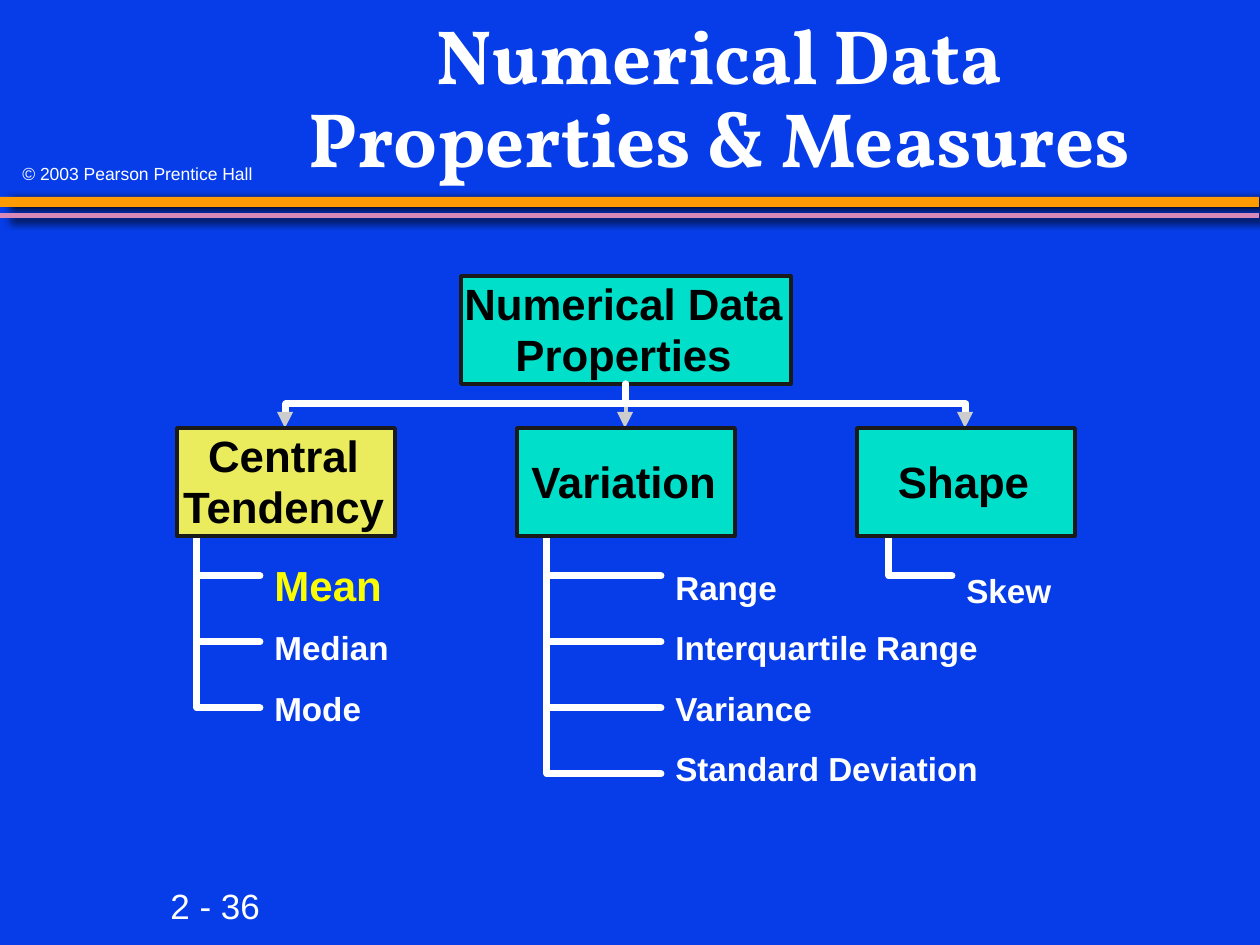
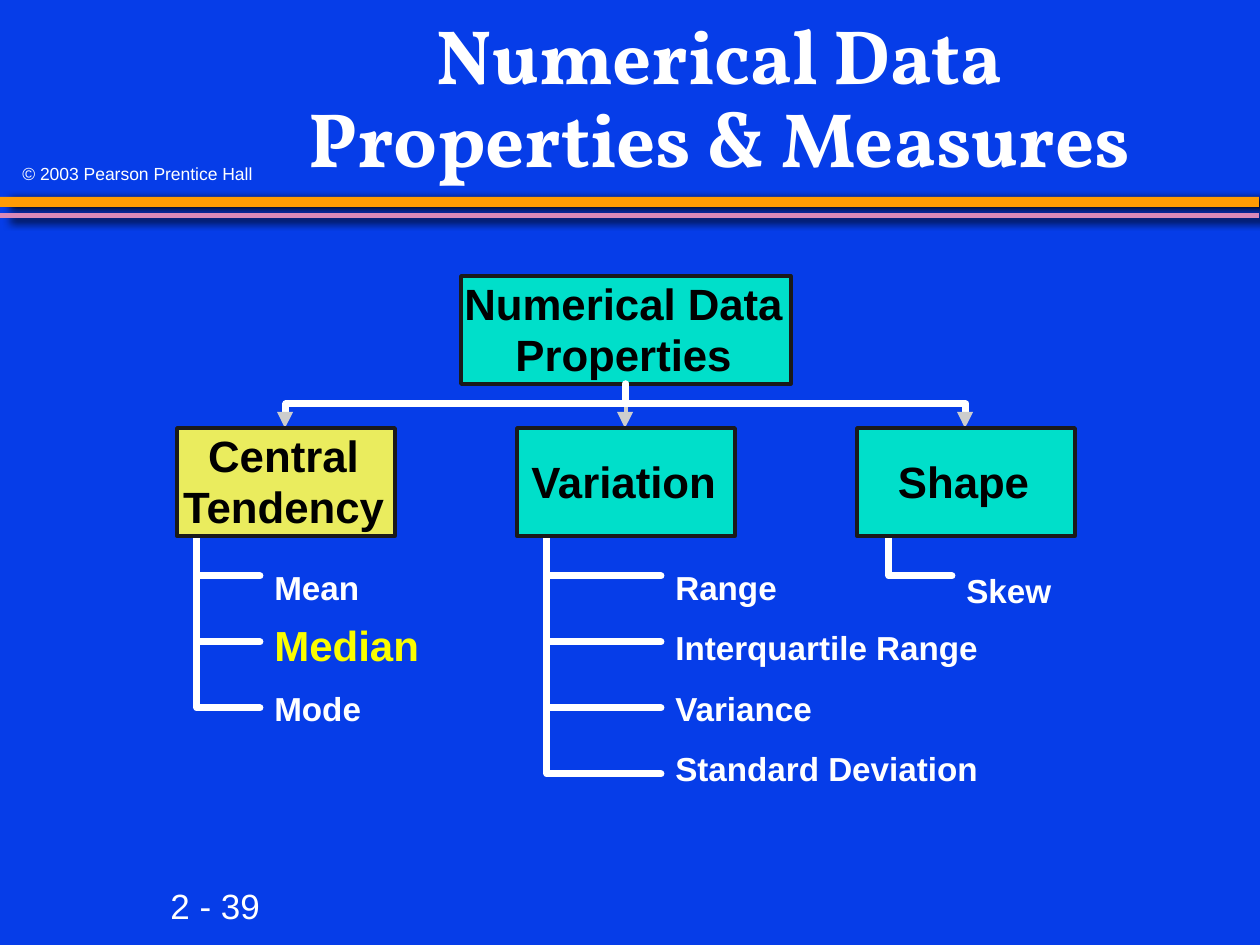
from dataclasses import dataclass

from lxml.etree import SubElement
from pptx import Presentation
from pptx.dml.color import RGBColor as RGB
from pptx.enum.shapes import MSO_CONNECTOR as CONNECTOR, MSO_SHAPE as SHAPE
from pptx.enum.text import MSO_ANCHOR as ANCHOR, PP_ALIGN as ALIGN
from pptx.oxml.ns import qn
from pptx.util import Emu, Pt


@dataclass(frozen=True)
class Theme:
    blue: str = "063DE8"
    orange: str = "FE9B03"
    pink: str = "D989B8"
    teal: str = "00DFCA"
    yellow: str = "EAEC5E"
    accent: str = "FAFD00"
    white: str = "FFFFFF"
    black: str = "000000"
    outline: str = "1A1A1A"
    grey: str = "CDCDCD"


T = Theme()
TYPE = {
    "title": {"name": "Vollkorn", "size": Pt(44), "bold": True},
    "node": {"name": "Arial", "size": Pt(25), "bold": True},
    "label": {"name": "Arial", "size": Pt(19), "bold": True},
    "focus": {"name": "Arial", "size": Pt(24), "bold": True},
    "page": {"name": "Arial", "size": Pt(20)},
    "rights": {"name": "Arial", "size": Pt(10)},
}
SLIDE_W, SLIDE_H = 1260, 945
ROW_GAP = 66

# name, colour, trunk offset, arm length, label drop, measures
BRANCHES = [
    ("Central\nTendency", T.yellow, 20, 63, 133, ["Mean", "Median", "Mode"]),
    ("Variation", T.teal, 30, 114, 133,
     ["Range", "Interquartile Range", "Variance", "Standard Deviation"]),
    ("Shape", T.teal, 32, 63, 136, ["Skew"]),
]


def px(n):
    return Emu(round(n * 914400 / 126))


def style_text(p, style, color):
    for r in p.runs:
        for key, value in TYPE[style].items():
            setattr(r.font, key, value)
        r.font.color.rgb = RGB.from_string(color)


def add_text(s, box, text, style, color=T.white):
    tf = s.shapes.add_textbox(*map(px, box)).text_frame
    tf.word_wrap = True
    p = tf.paragraphs[0]
    p.text = text
    style_text(p, style, color)
    return tf


def add_block(s, kind, box, fill, line=None):
    sp = s.shapes.add_shape(kind, *map(px, box))
    sp.shadow.inherit = False
    sp.fill.solid()
    sp.fill.fore_color.rgb = RGB.from_string(fill)
    if line:
        sp.line.color.rgb = RGB.from_string(line)
        sp.line.width = Pt(2)
    else:
        sp.line.fill.background()
    return sp


def add_path(s, start, *points):
    fb = s.shapes.build_freeform(*map(px, start))
    fb.add_line_segments([tuple(map(px, pt)) for pt in points], close=False)
    sp = fb.convert_to_shape()
    sp.shadow.inherit = False
    sp.fill.background()
    sp.line.color.rgb = RGB.from_string(T.white)
    sp.line.width = Pt(4)
    ln = sp.line._get_or_add_ln()
    ln.set("cap", "rnd")
    SubElement(ln, qn("a:round"))


def add_band(s, y, h, fill, distance, degrees):
    sp = add_block(s, SHAPE.RECTANGLE, (0, y, SLIDE_W - 1, h), fill)
    effects = sp._element.spPr.find(qn("a:effectLst"))
    shadow = SubElement(effects, qn("a:outerShdw"), blurRad=str(Pt(5)),
                        dist=str(Pt(distance)), dir=str(degrees * 60000),
                        algn="ctr", rotWithShape="0")
    SubElement(shadow, qn("a:srgbClr"), val=T.black)


def add_node(s, box, text, fill):
    sp = add_block(s, SHAPE.RECTANGLE, box, fill, T.outline)
    tf = sp.text_frame
    frame = {"margin_left": 0, "margin_right": px(5), "margin_top": 0,
             "margin_bottom": px(2), "word_wrap": False,
             "vertical_anchor": ANCHOR.MIDDLE}
    for key, value in frame.items():
        setattr(tf, key, value)
    tf.text = text
    for p in tf.paragraphs:
        p.alignment = ALIGN.CENTER
        p.line_spacing = Pt(29.5)
        style_text(p, "node", T.black)
    return sp


def add_frame(s, page):
    """Background, bands, footer texts and title."""
    s.background.fill.solid()
    s.background.fill.fore_color.rgb = RGB.from_string(T.blue)
    add_band(s, 197, 10, T.orange, 6.1, 9)
    add_band(s, 213, 5, T.pink, 6.3, 18)
    add_text(s, (158, 878, 120, 55), page, "page")
    add_text(s, (10, 157, 275, 33), "© 2003 Pearson Prentice Hall", "rights")
    tf = add_text(s, (231, 24, 977, 154),
                  "Numerical Data\vProperties & Measures", "title")
    tf.vertical_anchor = ANCHOR.MIDDLE
    tf.paragraphs[0].alignment = ALIGN.CENTER
    tf.paragraphs[0].line_spacing = 0.9


def add_arrows(s, root, centre, y, child_centres):
    """Stem from the root, with one elbow and arrowhead per child."""
    stem = s.shapes.add_connector(CONNECTOR.STRAIGHT,
                                  *map(px, (centre, y, centre, y + 28)))
    stem.begin_connect(root, 2)
    stem.line.color.rgb = RGB.from_string(T.grey)
    stem.line.width = Pt(2)
    SubElement(stem._element.spPr, qn("a:effectLst"))
    for x in child_centres:
        if x != centre:
            add_path(s, (centre, y), (centre, y + 20), (x, y + 20), (x, y + 28))
        add_block(s, SHAPE.FLOWCHART_MERGE, (x - 9, y + 28, 16, 16), T.grey)


def add_branch(s, box, branch, focus):
    """One child node with its bracket and measures."""
    x, y, w, h = box
    name, fill, trunk, arm, drop, measures = branch
    trunk_x = x + trunk
    for i, measure in enumerate(measures):
        row_y = y + 148 + i * ROW_GAP
        add_path(s, (trunk_x, row_y - ROW_GAP), (trunk_x, row_y),
                 (trunk_x + arm, row_y))
        label_y = y + drop + i * 121 // 2
        label_w = 60 + 16 * len(measure)
        left = trunk_x + arm + 2
        if measure == focus:
            add_text(s, (left, label_y - 8, label_w * 6 // 5, 64),
                     measure, "focus", T.accent)
        else:
            add_text(s, (left, label_y, label_w, 54), measure, "label")
    add_node(s, box, name, fill)


def add_tree(s, box, focus):
    """Property tree: root on top, three branches in equal steps."""
    x, y, w = box
    child_w, child_h, root_w, root_h = 218, 108, 330, 108
    step = (w - child_w) // 2
    centre = x + w // 2
    root = add_node(s, (centre - root_w // 2, y, root_w, root_h),
                    "Numerical Data\nProperties", T.teal)
    lefts = [x + i * step for i in range(len(BRANCHES))]
    add_arrows(s, root, centre, y + root_h,
               [left + child_w // 2 for left in lefts])
    for left, branch in zip(lefts, BRANCHES):
        add_branch(s, (left, y + 152, child_w, child_h), branch, focus)


def main():
    prs = Presentation()
    prs.slide_width, prs.slide_height = px(SLIDE_W), px(SLIDE_H)
    for page, focus in [("2 - 36", "Mean"), ("2 - 39", "Median")]:
        s = prs.slides.add_slide(prs.slide_layouts[6])
        add_frame(s, page)
        add_tree(s, (177, 276, 898), focus)
    prs.save("out.pptx")


if __name__ == "__main__":
    main()
